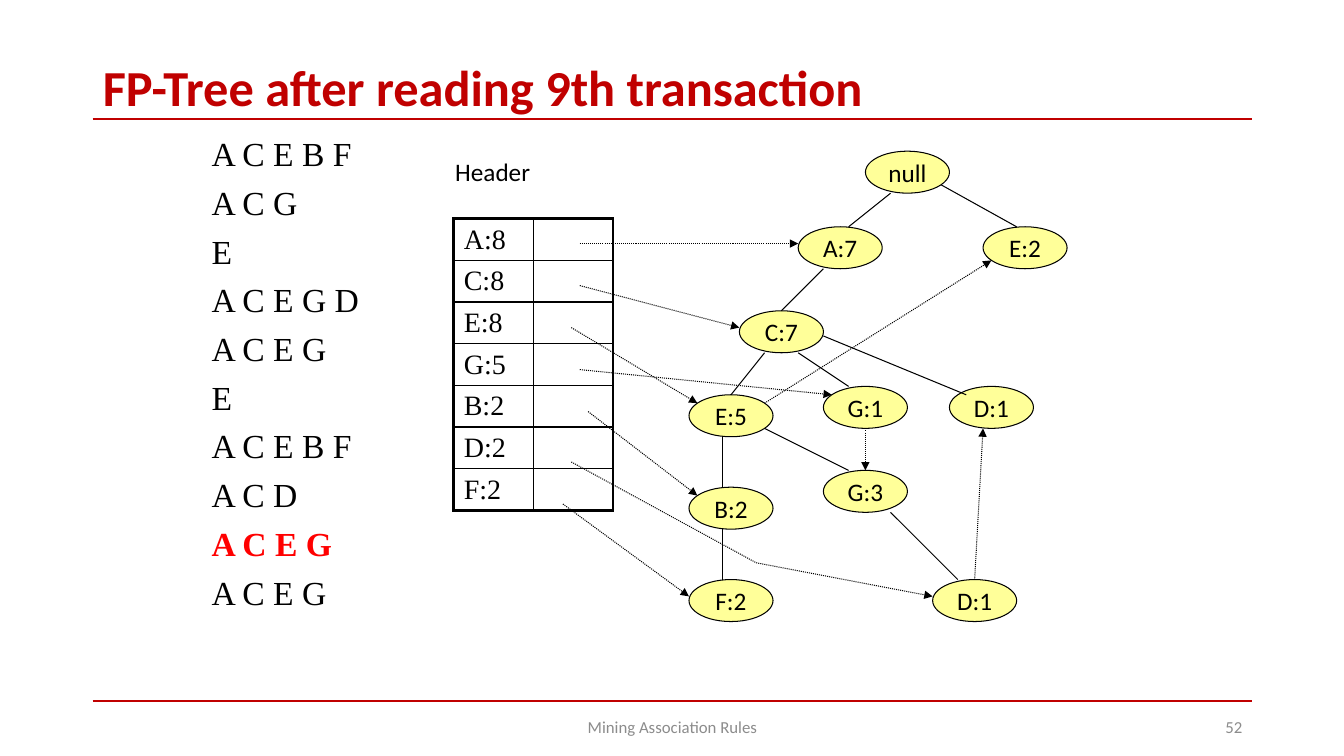
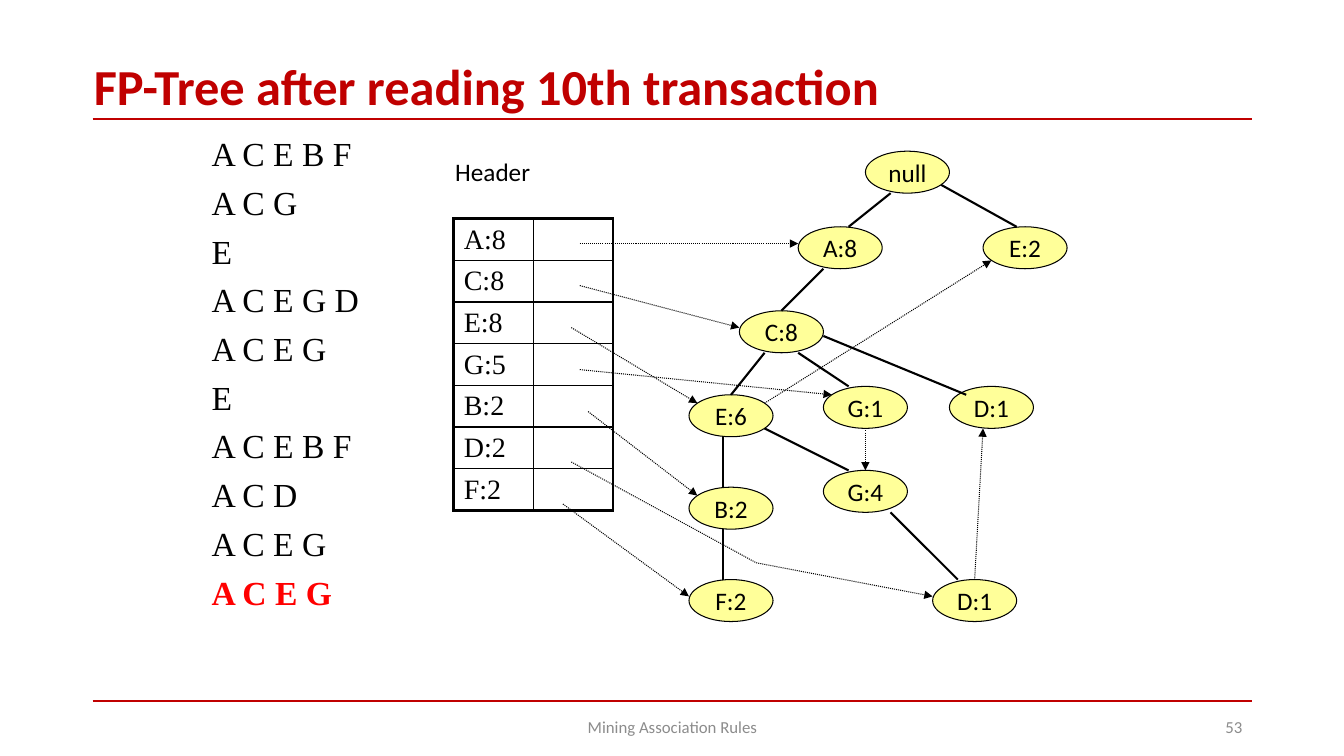
import dataclasses

import lxml.etree
import pptx
import pptx.dml.color
import pptx.enum.dml
import pptx.enum.shapes
import pptx.enum.text
import pptx.oxml.ns
import pptx.util

Inches = pptx.util.Inches
Pt = pptx.util.Pt
ALIGN = pptx.enum.text.PP_ALIGN
ANCHOR = pptx.enum.text.MSO_ANCHOR
qn = pptx.oxml.ns.qn


@dataclasses.dataclass(frozen=True)
class Theme:
    accent: str = "C00000"
    ink: str = "000000"
    muted: str = "8C8C8C"
    node: str = "FFFF99"
    highlight: str = "FF0000"
    sans: str = "Calibri"
    serif: str = "Times New Roman"
    title: int = 36
    transaction: int = 24
    item: int = 20
    label: int = 18
    footer: int = 12
    thin: float = 0.75
    inner: float = 1
    bold: float = 1.5
    frame: float = 2.25


def apply(target, values):
    for name, value in values.items():
        setattr(target, name, value)


def grid(*steps):
    return [Inches(step / 12) for step in steps]


def rgb(color):
    return pptx.dml.color.RGBColor.from_string(color)


class Deck:
    def __init__(self, theme):
        self.theme = theme
        self.presentation = pptx.Presentation()
        apply(self.presentation, {"slide_width": Inches(13.33), "slide_height": Inches(7.5)})
        self.slide = None

    def add_text(self, paragraph, text, size, color=None, font=None, bold=False):
        run = paragraph.add_run()
        run.text = text
        apply(run.font, {"size": Pt(size), "name": font or self.theme.sans, "bold": bold})
        run.font.color.rgb = rgb(color or self.theme.ink)

    def start(self, title, title_at, number):
        theme = self.theme
        self.slide = self.presentation.slides.add_slide(self.presentation.slide_layouts[5])
        heading = self.slide.shapes.title
        left, top = title_at
        apply(heading, {"left": Inches(left), "top": Inches(top),
                        "width": Inches(11.5), "height": Inches(0.58)})
        apply(heading.text_frame, {"vertical_anchor": ANCHOR.MIDDLE, "word_wrap": True,
                                   "auto_size": pptx.enum.text.MSO_AUTO_SIZE.NONE})
        paragraph = heading.text_frame.paragraphs[0]
        apply(paragraph, {"alignment": ALIGN.LEFT, "line_spacing": 0.9})
        self.add_text(paragraph, title, theme.title, theme.accent, bold=True)
        for height in (1.18, 6.95):
            self.line([Inches(n) for n in (0.92, height, 12.42, height)], theme.bold, theme.accent)
        for left, width, text, alignment in ((4.42, 4.5, "Mining Association Rules", ALIGN.CENTER),
                                             (9.42, 3, str(number), ALIGN.RIGHT)):
            frame = self.text_box([Inches(n) for n in (left, 7.01, width, 0.4)], ANCHOR.MIDDLE)
            frame.paragraphs[0].alignment = alignment
            self.add_text(frame.paragraphs[0], text, theme.footer, theme.muted)

    def text_box(self, box, anchor=ANCHOR.TOP, wrap=True):
        frame = self.slide.shapes.add_textbox(*box).text_frame
        apply(frame, {"vertical_anchor": anchor, "word_wrap": wrap})
        return frame

    def line(self, ends, width, color=None, dotted=False, arrow=False):
        connector = self.slide.shapes.add_connector(pptx.enum.shapes.MSO_CONNECTOR.STRAIGHT, *ends)
        connector.line.width = Pt(width)
        connector.line.color.rgb = rgb(color or self.theme.ink)
        if dotted:
            connector.line.dash_style = pptx.enum.dml.MSO_LINE.ROUND_DOT
        properties = connector.element.spPr
        if arrow:
            outline = properties.find(qn("a:ln"))
            lxml.etree.SubElement(outline, qn("a:tailEnd"), type="triangle")
        lxml.etree.SubElement(properties, qn("a:effectLst"))

    def node(self, text, left, top):
        theme = self.theme
        ellipse = self.slide.shapes.add_shape(
            pptx.enum.shapes.MSO_SHAPE.OVAL, *grid(left, top, 10, 5))
        ellipse.shadow.inherit = False
        ellipse.fill.solid()
        ellipse.fill.fore_color.rgb = rgb(theme.node)
        ellipse.line.color.rgb = rgb(theme.ink)
        ellipse.line.width = Pt(theme.thin)
        apply(ellipse.text_frame, {"word_wrap": False, "vertical_anchor": ANCHOR.MIDDLE})
        paragraph = ellipse.text_frame.paragraphs[0]
        paragraph.alignment = ALIGN.CENTER
        self.add_text(paragraph, text, theme.label)

    def transactions(self, entries, current):
        theme = self.theme
        frame = self.text_box([Inches(n) for n in (2, 1.27, 2.17, 5.08)])
        for index, entry in enumerate(entries):
            paragraph = frame.add_paragraph() if index else frame.paragraphs[0]
            paragraph.space_before = Pt(6 if index else 0)
            active = index == current
            self.add_text(paragraph, entry, theme.transaction,
                          theme.highlight if active else theme.ink, theme.serif, active)

    def border(self, cell, side, width):
        properties = cell._tc.get_or_add_tcPr()
        edge = lxml.etree.SubElement(properties, qn(f"a:ln{side}"), w=str(Pt(width)))
        fill = lxml.etree.SubElement(edge, qn("a:solidFill"))
        lxml.etree.SubElement(fill, qn("a:srgbClr"), val=self.theme.ink)

    def header_table(self, items):
        theme = self.theme
        caption = self.text_box(grid(53, 18, 11.4, 4.8), wrap=False)
        self.add_text(caption.paragraphs[0], "Header", theme.label)
        row_height = 0.41
        table = self.slide.shapes.add_table(
            len(items), 2, Inches(4.5), Inches(2.17),
            Inches(1.58), Inches(row_height * len(items))).table
        apply(table, {"first_row": False, "horz_banding": False})
        last = len(items) - 1
        for row, item in enumerate(items):
            table.rows[row].height = Inches(row_height)
            for column in range(2):
                cell = table.cell(row, column)
                outer = {"L": column == 0, "R": column == 1, "T": row == 0, "B": row == last}
                for side, framed in outer.items():
                    self.border(cell, side, theme.frame if framed else theme.inner)
                cell.fill.background()
                apply(cell, {"margin_top": Inches(0.04), "margin_bottom": Inches(0.04),
                             "vertical_anchor": ANCHOR.MIDDLE})
            self.add_text(table.cell(row, 0).text_frame.paragraphs[0], item,
                          theme.item, font=theme.serif)

    def tree(self, counts, branch_width):
        for (item, left, top), count in zip(NODES, counts):
            self.node(f"{item}:{count}" if count else item, left, top)
        for ends in BRANCHES:
            self.line(grid(*ends), branch_width)
        for ends in NODE_LINKS:
            self.line(grid(*ends), self.theme.thin, dotted=True, arrow=ends != BENT_LINK_START)


TRANSACTIONS = ["A C E B F", "A C G", "E", "A C E G D", "A C E G",
                "E", "A C E B F", "A C D", "A C E G", "A C E G"]
HEADER_ITEMS = ["A:8", "C:8", "E:8", "G:5", "B:2", "D:2", "F:2"]
NODES = [("null", 103, 18), ("A", 95, 27), ("C", 88, 37), ("E", 82, 47),
         ("B", 82, 58), ("F", 82, 69), ("E", 117, 27), ("G", 98, 46),
         ("G", 98, 56), ("D", 111, 69), ("D", 113, 46)]
BRANCHES = [(106, 23, 101, 27), (112, 22, 121, 27), (98, 32, 93, 37),
            (91, 42, 87, 47), (95, 42, 101, 46), (98, 40, 115, 47),
            (86, 52, 86, 58), (86, 63, 86, 69), (91, 51, 101, 56),
            (106, 61, 114, 69)]
BENT_LINK_START = (68, 55, 90, 67)
NODE_LINKS = [(69, 29, 95, 29), (69, 34, 88, 39), (68, 39, 83, 48),
              (69, 44, 99, 47), (70, 49, 83, 59), BENT_LINK_START,
              (90, 67, 111, 71), (67, 60, 82, 71), (91, 48, 118, 31),
              (103, 51, 103, 56), (116, 69, 117, 51)]


def main():
    theme = Theme()
    deck = Deck(theme)
    stages = [
        (9, (0.92, 0.61), [None, 7, 7, 5, 2, 2, 2, 1, 3, 1, 1], theme.thin),
        (10, (0.83, 0.6), [None, 8, 8, 6, 2, 2, 2, 1, 4, 1, 1], theme.bold),
    ]
    for step, title_at, counts, branch_width in stages:
        deck.start(f"FP-Tree after reading {step}th transaction", title_at, step + 43)
        deck.transactions(TRANSACTIONS, step - 1)
        deck.header_table(HEADER_ITEMS)
        deck.tree(counts, branch_width)
    deck.presentation.save("out.pptx")


if __name__ == "__main__":
    main()
